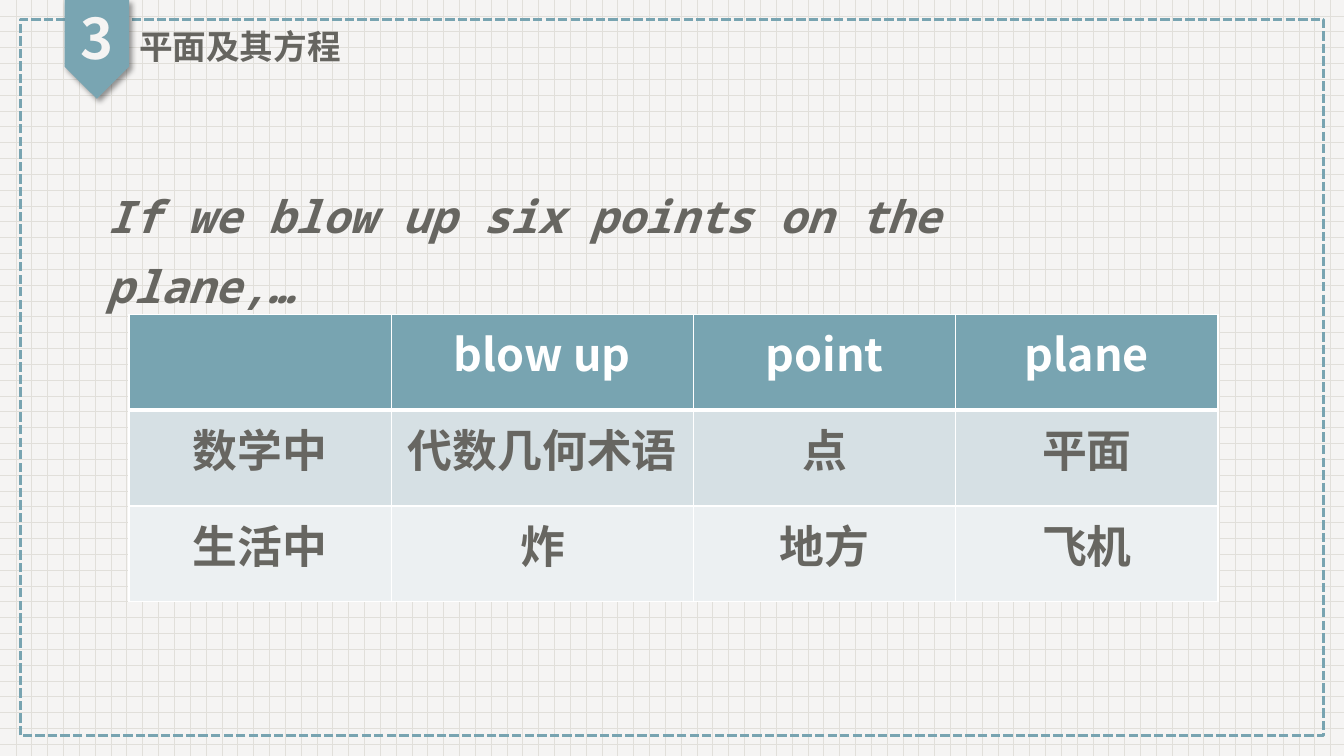
import pptx
import pptx.dml.color
import pptx.enum.dml
import pptx.enum.shapes
import pptx.enum.text
import pptx.oxml
import pptx.oxml.ns
import pptx.util
from pptx.util import Inches

RGBColor = pptx.dml.color.RGBColor
PAPER = RGBColor(0xF5, 0xF4, 0xF3)
GRID = RGBColor(0xE1, 0xDF, 0xDA)
TEAL = RGBColor(0x78, 0xA4, 0xB1)
RIBBON = RGBColor(0x79, 0xA5, 0xB2)
HEADING = RGBColor(0x66, 0x65, 0x60)
INK = RGBColor(0x67, 0x66, 0x61)
WHITE = RGBColor(0xFF, 0xFF, 0xFF)
BAND_DARK = RGBColor(0xD6, 0xE0, 0xE4)
BAND_LIGHT = RGBColor(0xEC, 0xF0, 0xF2)

SANS = "Noto Sans CJK SC"
MONO = "Noto Sans Mono"
ALIGN = pptx.enum.text.PP_ALIGN
MIDDLE = pptx.enum.text.MSO_ANCHOR.MIDDLE
NO_FIT = pptx.enum.text.MSO_AUTO_SIZE.NONE
SHAPE = pptx.enum.shapes.MSO_SHAPE
NAMESPACE = pptx.oxml.ns.nsdecls("a")

COLUMN_WIDTHS = [2.6, 3, 2.6, 2.6]
ROWS = [
    ["", "blow up", "point", "plane"],
    ["数学中", "代数几何术语", "点", "平面"],
    ["生活中", "炸", "地方", "飞机"],
]
ROW_FILLS = [TEAL, BAND_DARK, BAND_LIGHT]
# Widths in points of the rules above, between and below the rows
RULES = [1, 3, 1, 1]


def write(frame, text, size, color, font=SANS, align=ALIGN.LEFT):
    """Put one bold paragraph in a text frame and return it."""
    frame.word_wrap = True
    para = frame.paragraphs[0]
    para.text = text
    para.alignment = align
    para.font.size = pptx.util.Pt(size)
    para.font.bold = True
    para.font.name = font
    para.font.color.rgb = color
    # East Asian characters take their font from a separate element
    defaults = para._p.pPr.find(pptx.oxml.ns.qn("a:defRPr"))
    defaults.append(pptx.oxml.parse_xml(f'<a:ea {NAMESPACE} typeface="{font}"/>'))
    return para


def write_heading(shape, text, size, color, align):
    frame = shape.text_frame
    para = write(frame, text, size, color, align=align)
    para.line_spacing = 0.9
    para.space_before = pptx.util.Pt(10)
    frame.auto_size = NO_FIT
    frame.vertical_anchor = MIDDLE


def add_backdrop(page, left, top, width, height):
    # Squared paper
    fill = page.background.fill
    fill.patterned()
    fill.pattern = pptx.enum.dml.MSO_PATTERN.DOTTED_GRID
    fill.fore_color.rgb = GRID
    fill.back_color.rgb = PAPER
    # Dashed frame
    border = page.shapes.add_shape(
        SHAPE.RECTANGLE, Inches(left), Inches(top), Inches(width), Inches(height))
    border.shadow.inherit = False
    border.fill.background()
    border.line.color.rgb = TEAL
    border.line.width = pptx.util.Pt(2.25)
    border.line.dash_style = pptx.enum.dml.MSO_LINE.SQUARE_DOT


def add_header(page, left, width, height, number, title):
    # Ribbon pointing down: a pentagon arrow turned about its centre
    ribbon = page.shapes.add_shape(
        SHAPE.PENTAGON, Inches(left + (width - height) / 2),
        Inches((height - width) / 2), Inches(height), Inches(width))
    ribbon.rotation = 90
    ribbon.fill.solid()
    ribbon.fill.fore_color.rgb = RIBBON
    ribbon.line.fill.background()
    ribbon._element.spPr.append(pptx.oxml.parse_xml(
        f'<a:effectLst {NAMESPACE}><a:outerShdw blurRad="50800" dist="38100" '
        'dir="2700000" algn="tl" rotWithShape="0"><a:srgbClr val="000000">'
        '<a:alpha val="40000"/></a:srgbClr></a:outerShdw></a:effectLst>'))
    # Section number
    box = page.shapes.add_textbox(
        Inches(left), 0, Inches(width), Inches(0.82))
    write_heading(box, number, 40, PAPER, ALIGN.CENTER)
    # Section title
    heading = page.shapes.title
    heading.left, heading.top = Inches(left + width), Inches(0.23)
    heading.width, heading.height = Inches(4.6), Inches(0.51)
    write_heading(heading, title, 24, HEADING, ALIGN.LEFT)


def add_sentence(page, left, top, width, height, text):
    box = page.shapes.add_textbox(
        Inches(left), Inches(top), Inches(width), Inches(height))
    para = write(box.text_frame, text, 32, INK, MONO)
    para.font.italic = True
    para.line_spacing = 1.3
    box.text_frame.auto_size = pptx.enum.text.MSO_AUTO_SIZE.SHAPE_TO_FIT_TEXT


def set_borders(cell, above, below):
    properties = cell._tc.get_or_add_tcPr()
    sides = [("lnL", 1), ("lnR", 1), ("lnT", above), ("lnB", below)]
    for place, (side, points) in enumerate(sides):
        properties.insert(place, pptx.oxml.parse_xml(
            f'<a:{side} {NAMESPACE} w="{pptx.util.Pt(points)}"><a:solidFill>'
            f'<a:srgbClr val="{WHITE}"/></a:solidFill></a:{side}>'))


def add_meanings_table(page, left, top, row_height):
    table = page.shapes.add_table(
        len(ROWS), len(COLUMN_WIDTHS), Inches(left), Inches(top),
        Inches(sum(COLUMN_WIDTHS)), Inches(row_height * len(ROWS))).table
    for column, width in zip(table.columns, COLUMN_WIDTHS):
        column.width = Inches(width)
    for index, words in enumerate(ROWS):
        table.rows[index].height = Inches(row_height)
        for cell, word in zip(table.rows[index].cells, words):
            color = WHITE if index == 0 else INK
            write(cell.text_frame, word, 32, color, align=ALIGN.CENTER)
            cell.fill.solid()
            cell.fill.fore_color.rgb = ROW_FILLS[index]
            set_borders(cell, RULES[index], RULES[index + 1])


def main():
    deck = pptx.Presentation()
    deck.slide_width, deck.slide_height = Inches(13.33), Inches(7.5)
    page = deck.slides.add_slide(deck.slide_layouts.get_by_name("Title Only"))
    add_backdrop(page, 0.2, 0.19, 12.93, 7.11)
    add_header(page, 0.64, 0.64, 0.98, "3", "平面及其方程")
    add_sentence(page, 0.96, 1.66, 10.4, 0.73,
                 "If we blow up six points on the plane,…")
    add_meanings_table(page, 1.28, 3.12, 0.95)
    deck.save("out.pptx")


if __name__ == "__main__":
    main()
